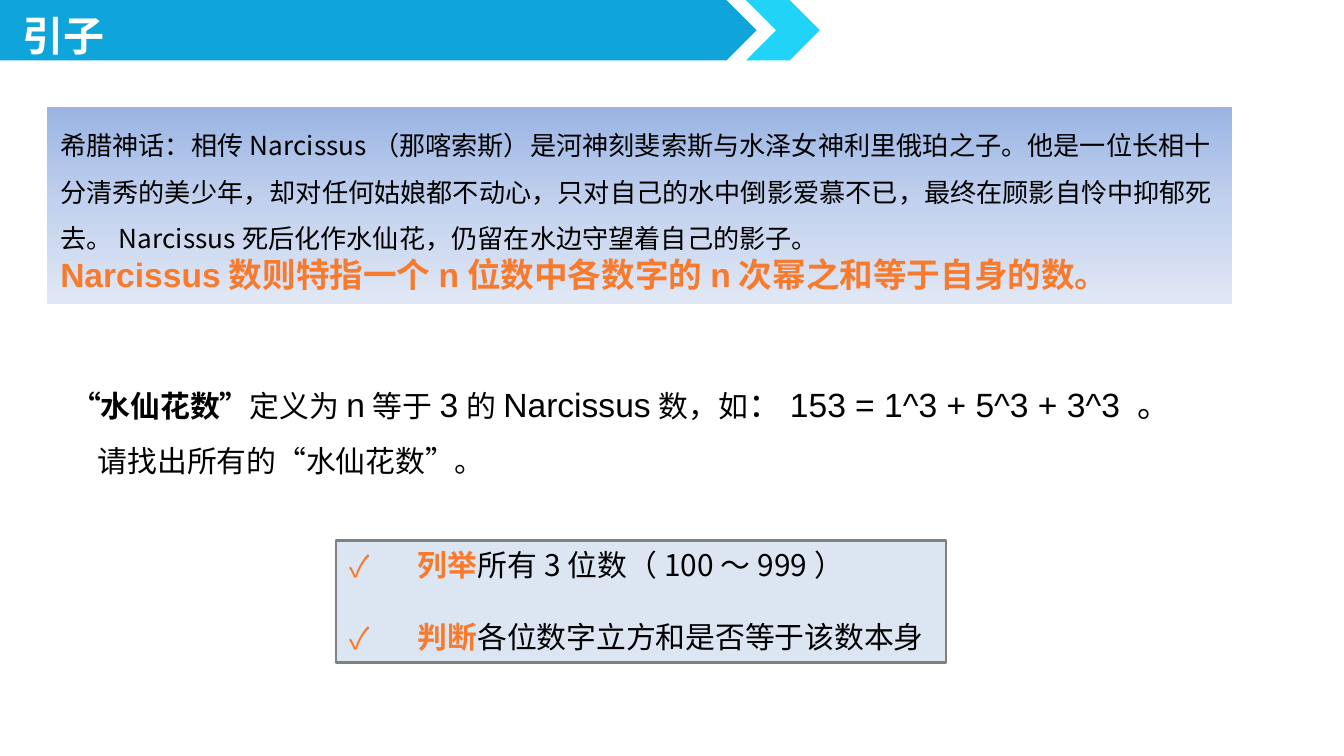
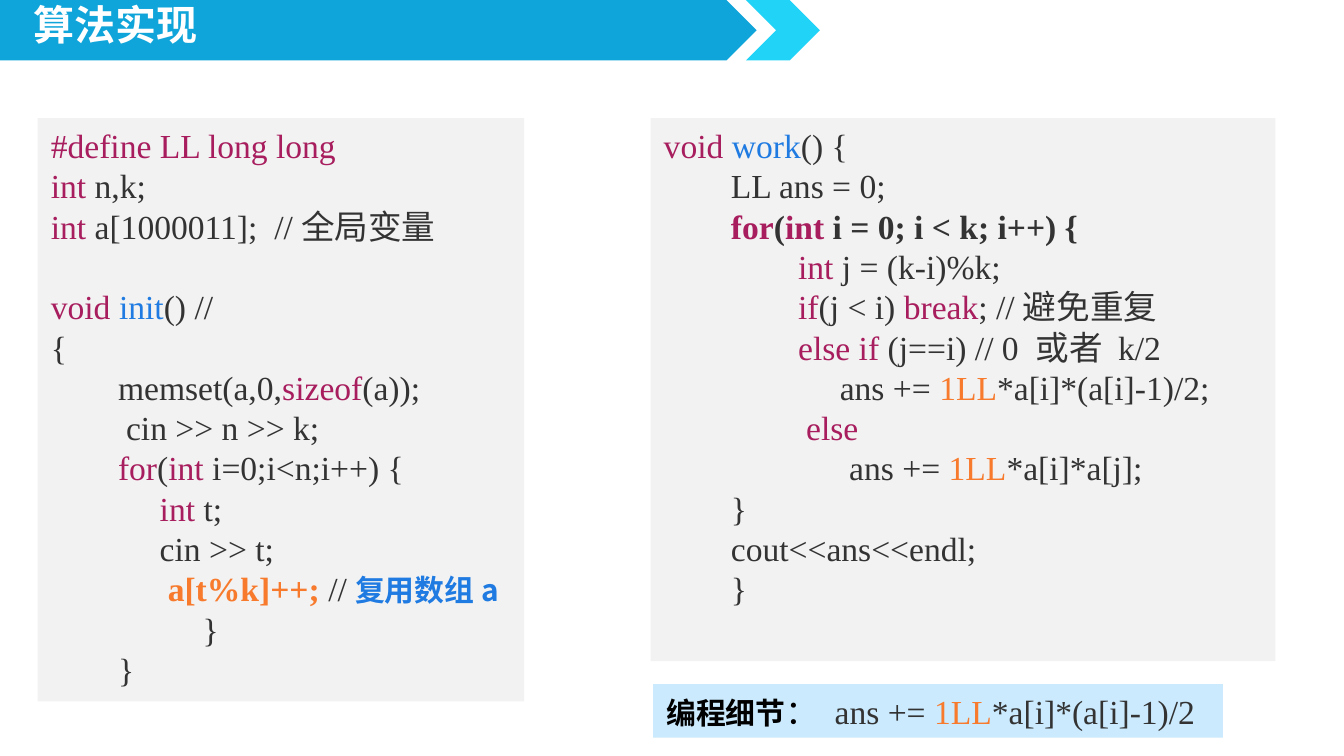
from copy import deepcopy

from lxml import etree
from pptx import Presentation
from pptx import util as u
from pptx.dml.color import RGBColor
from pptx.enum import shapes, text
from pptx.oxml.ns import qn

EMU_PER_PX = 9144  # 100 px to the inch

WHITE = RGBColor(0xFF, 0xFF, 0xFF)
BLACK = RGBColor(0x00, 0x00, 0x00)
BAND_BLUE = RGBColor(0x10, 0xA5, 0xDA)
BAND_CYAN = RGBColor(0x21, 0xD3, 0xF7)
STORY_STOPS = ((0, RGBColor(0x9A, 0xB5, 0xE4)),
               (0.5, RGBColor(0xC2, 0xD1, 0xED)),
               (1, RGBColor(0xE1, 0xE8, 0xF5)))
STEP_FILL = RGBColor(0xDC, 0xE6, 0xF2)
STEP_LINE = RGBColor(0x80, 0x80, 0x80)
CODE_FILL = RGBColor(0xF2, 0xF2, 0xF2)
DETAIL_FILL = RGBColor(0xCB, 0xEA, 0xFD)
ORANGE = RGBColor(0xF7, 0x7A, 0x2D)
KEYWORD = RGBColor(0xA7, 0x1D, 0x5D)
NAME = RGBColor(0x1F, 0x7B, 0xE1)
CODE = RGBColor(0x33, 0x33, 0x33)

HAN = "Noto Sans CJK SC"
LATIN = "Arial"
SERIF = "Times New Roman"
CODE_LINE = u.Pt(21.6)


def px(value):
    return u.Emu(value * EMU_PER_PX)


def style_font(font, size=None, name=None, color=None, bold=None):
    if size:
        font.size = u.Pt(size)
    if color is not None:
        font.color.rgb = color
    if bold is not None:
        font.bold = bold
    if name:
        font.name = name
        east_asian = etree.SubElement(font._element, qn("a:ea"))
        east_asian.set("typeface", HAN)


def write_paragraph(paragraph, runs, indent=0, **base):
    """Fill a paragraph with (text, style overrides) runs on a base style."""
    paragraph.alignment = text.PP_ALIGN.LEFT
    if indent:
        paragraph._p.get_or_add_pPr().set("marL", str(px(indent)))
    style_font(paragraph.font, **base)
    for words, changes in runs:
        run = paragraph.add_run()
        run.text = words
        style_font(run.font, **changes)


def next_paragraph(frame):
    first = frame.paragraphs[0]
    return frame.add_paragraph() if first.runs else first


def add_box(slide, box, fill=None, kind=shapes.MSO_SHAPE.RECTANGLE):
    shape = slide.shapes.add_shape(kind, *map(px, box))
    shape.shadow.inherit = False
    shape.line.fill.background()
    if fill is None:
        shape.fill.background()
    else:
        shape.fill.solid()
        shape.fill.fore_color.rgb = fill
    shape.text_frame.word_wrap = True
    shape.text_frame.vertical_anchor = text.MSO_ANCHOR.TOP
    return shape


def move_band_to_layout(slide):
    """Draw the header band once, on the layout that the slides share."""
    kinds = shapes.MSO_SHAPE
    for box, color, kind in (((0, 0, 563, 45), BAND_BLUE, kinds.PENTAGON),
                             ((555, 0, 55, 45), BAND_CYAN, kinds.CHEVRON)):
        band = add_box(slide, box, color, kind)
        slide.slide_layout.shapes._spTree.append(band._element)


def place_title(slide, box, words, line_spacing=1.0):
    title = slide.shapes.title
    title.left, title.top, title.width, title.height = map(px, box)
    frame = title.text_frame
    frame.auto_size = text.MSO_AUTO_SIZE.NONE
    frame.vertical_anchor = text.MSO_ANCHOR.TOP
    paragraph = frame.paragraphs[0]
    paragraph.line_spacing = line_spacing
    write_paragraph(paragraph, [(words, {})], size=22, name=HAN, color=WHITE, bold=True)


def fill_gradient(shape, stops):
    shape.fill.gradient()
    shape.fill.gradient_angle = 270
    stop_list = shape._element.spPr.find(".//" + qn("a:gsLst"))
    stop_list.insert(1, deepcopy(stop_list[0]))
    for stop, (position, color) in zip(shape.fill.gradient_stops, stops):
        stop.position = position
        stop.color.rgb = color


def add_story(slide, box):
    shape = add_box(slide, box)
    fill_gradient(shape, STORY_STOPS)
    frame = shape.text_frame
    story = next_paragraph(frame)
    story.line_spacing = u.Pt(25)
    write_paragraph(story, [(
        "希腊神话：相传Narcissus（那喀索斯）是河神刻斐索斯与水泽女神利里俄珀之子。"
        "他是一位长相十分清秀的美少年，却对任何姑娘都不动心，只对自己的水中倒影爱慕不已，"
        "最终在顾影自怜中抑郁死去。Narcissus死后化作水仙花，仍留在水边守望着自己的影子。", {})],
        size=14, name=HAN, color=BLACK)
    write_paragraph(next_paragraph(frame), [
        ("Narcissus", {"name": LATIN}),
        ("数则特指一个", {}), ("n", {"name": LATIN}), ("位数中各数字的", {}),
        ("n", {"name": LATIN}), ("次幂之和等于自身的数。", {})],
        size=18, name=HAN, color=ORANGE, bold=True)


def add_definition(slide, box):
    frame = add_box(slide, box).text_frame
    latin = {"size": 18, "name": LATIN}
    lines = (
        (0, [("“水仙花数”", {"bold": True}), ("定义为", {}), ("n", latin),
             ("等于", {}), ("3", latin), ("的", {}), ("Narcissus", latin),
             ("数，如", {}), ("：153 = 1^3 + 5^3 + 3^3 。", latin)]),
        (20, [("请找出所有的“水仙花数”。", {})]),
    )
    for indent, runs in lines:
        paragraph = next_paragraph(frame)
        paragraph.line_spacing = 1.5
        write_paragraph(paragraph, runs, indent, size=16, name=HAN, color=BLACK)


def add_check_mark(paragraph, hanging):
    properties = paragraph._p.get_or_add_pPr()
    properties.set("indent", str(-px(hanging)))
    color = etree.SubElement(properties, qn("a:buClr"))
    etree.SubElement(color, qn("a:srgbClr")).set("val", str(ORANGE))
    etree.SubElement(properties, qn("a:buFont")).set("typeface", HAN)
    etree.SubElement(properties, qn("a:buChar")).set("char", "✓")


def add_steps(slide, box):
    shape = add_box(slide, box, STEP_FILL)
    shape.line.color.rgb = STEP_LINE
    shape.line.width = u.Pt(1.5)
    hanging = 51
    steps = (("列举", "所有3位数（100～999）", 0),
             ("判断", "各位数字立方和是否等于该数本身", 19.2))
    for verb, rest, gap in steps:
        paragraph = next_paragraph(shape.text_frame)
        add_check_mark(paragraph, hanging)
        paragraph.space_before = u.Pt(gap)
        write_paragraph(paragraph,
                        [(verb, {"color": ORANGE, "bold": True}), (rest, {"color": BLACK})],
                        hanging, size=16, name=HAN)


def add_code(slide, box, lines, gap_before=None):
    """Set lines of (indent, runs); a run is its text and colour, or text alone."""
    frame = add_box(slide, box, CODE_FILL).text_frame
    for number, (indent, *runs) in enumerate(lines):
        paragraph = next_paragraph(frame)
        paragraph.line_spacing = CODE_LINE
        if number == gap_before:
            paragraph.space_before = CODE_LINE
        styled = []
        for run in runs:
            words, style = (run, {}) if isinstance(run, str) else run
            styled.append((words, style if isinstance(style, dict) else {"color": style}))
        write_paragraph(paragraph, styled, indent, size=18, name=SERIF, color=CODE)


def add_detail(slide, box):
    frame = add_box(slide, box, DETAIL_FILL).text_frame
    write_paragraph(next_paragraph(frame), [
        ("编程细节", {"size": 16, "name": HAN, "color": BLACK, "bold": True}),
        ("： ", {"name": LATIN, "color": BLACK}),
        ("ans += ", {}), ("1LL", {"color": ORANGE}), ("*a[i]*(a[i]-1)/2", {})],
        size=18, name=SERIF, color=CODE)


INIT_CODE = (
    (0, ("#define LL long long", KEYWORD)),
    (0, ("int ", KEYWORD), "n,k;"),
    (0, ("int", KEYWORD), " a[1000011];  //全局变量"),
    (0, ("void ", KEYWORD), ("init", NAME), "() //"),
    (0, "{"),
    (50, "memset(a,0,", ("sizeof", KEYWORD), "(a));"),
    (56, "cin >> n >> k;"),
    (50, ("for", KEYWORD), "(", ("int", KEYWORD), " i=0;i<n;i++) {"),
    (81, ("int", KEYWORD), " t;"),
    (81, "cin >> t;"),
    (87, ("a[t%k]++; ", {"color": ORANGE, "bold": True}), "//",
     ("复用数组a", {"size": 16, "name": HAN, "color": NAME, "bold": True})),
    (113, "}"),
    (50, "}"),
)

BOLD_CODE = {"bold": True}
BOLD_KEYWORD = {"bold": True, "color": KEYWORD}
WORK_CODE = (
    (0, ("void ", KEYWORD), ("work", NAME), "() {"),
    (50, "LL ans = 0;"),
    (50, ("for", BOLD_KEYWORD), ("(", BOLD_CODE), ("int", BOLD_KEYWORD),
     (" i = 0; i < k; i++) {", BOLD_CODE)),
    (100, ("int", KEYWORD), " j = (k-i)%k;"),
    (100, ("if", KEYWORD), "(j < i) ", ("break", KEYWORD), "; //避免重复"),
    (100, ("else if ", KEYWORD), "(j==i) // 0 或者 k/2"),
    (131, "ans += ", ("1LL", ORANGE), "*a[i]*(a[i]-1)/2;"),
    (106, ("else", KEYWORD)),
    (138, "ans += ", ("1LL", ORANGE), "*a[i]*a[j];"),
    (50, "}"),
    (50, "cout<<ans<<endl;"),
    (50, "}"),
)


def build_intro(slide):
    place_title(slide, (7, 3, 281, 39), "引子")
    add_story(slide, (35, 80, 882, 146))
    add_definition(slide, (43, 266, 882, 96))
    add_steps(slide, (250, 402, 454, 91))


def build_implementation(slide):
    place_title(slide, (15, 2, 144, 40), "算法实现", line_spacing=0.8)
    add_code(slide, (28, 88, 362, 434), INIT_CODE, gap_before=3)
    add_code(slide, (484, 88, 465, 404), WORK_CODE)
    add_detail(slide, (486, 509, 424, 40))


def main():
    presentation = Presentation()
    presentation.slide_width = px(1000)
    presentation.slide_height = u.Emu(presentation.slide_width * 9 // 16)
    title_only = presentation.slide_layouts[5]
    intro = presentation.slides.add_slide(title_only)
    move_band_to_layout(intro)
    build_intro(intro)
    build_implementation(presentation.slides.add_slide(title_only))
    presentation.save("out.pptx")


if __name__ == "__main__":
    main()
